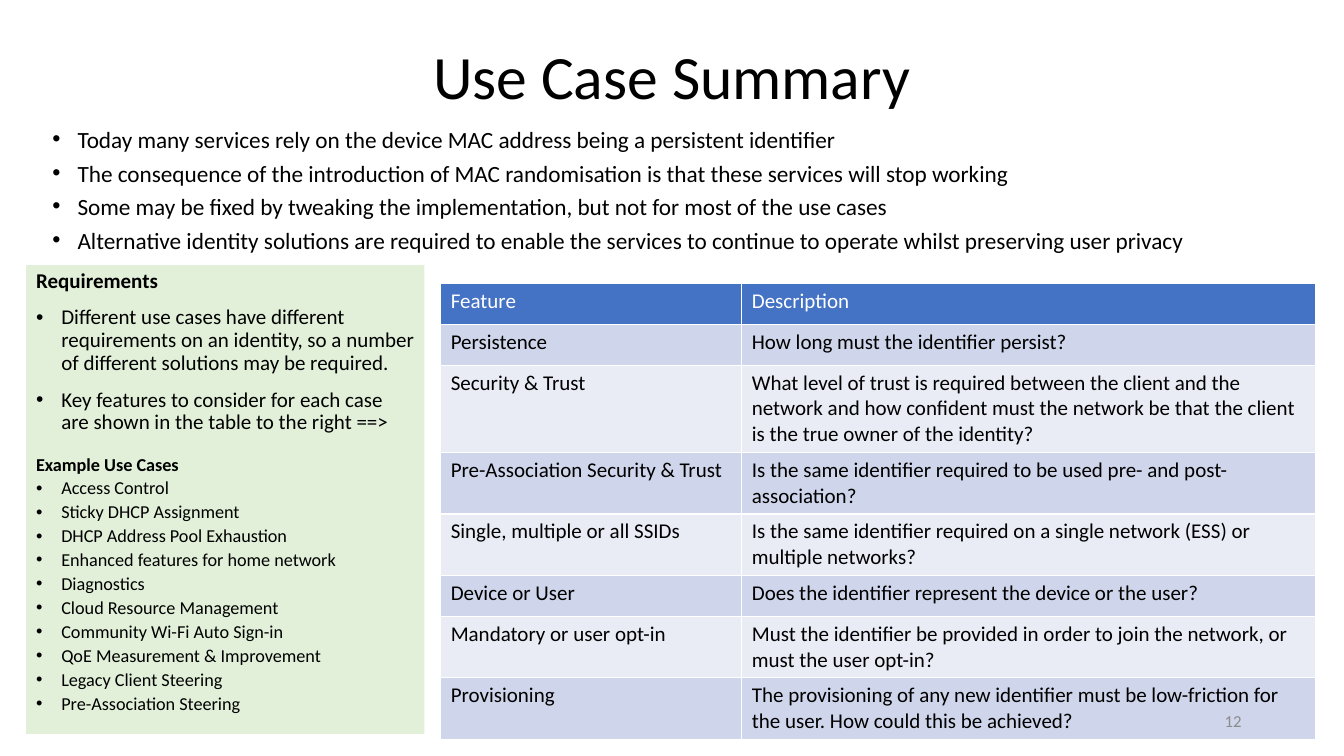
from lxml.etree import SubElement
from pptx import Presentation
from pptx.dml.color import RGBColor
from pptx.enum.shapes import MSO_SHAPE
from pptx.enum.text import MSO_ANCHOR, MSO_AUTO_SIZE, PP_ALIGN
from pptx.oxml.ns import qn
from pptx.util import Pt

# Content
TITLE = "Use Case Summary"
PAGE_NUMBER = "12"
SUMMARY = [
    "Today many services rely on the device MAC address being a persistent identifier",
    "The consequence of the introduction of MAC randomisation is that these services will stop working",
    "Some may be fixed by tweaking the implementation, but not for most of the use cases",
    "Alternative identity solutions are required to enable the services to continue to operate "
    "whilst preserving user privacy",
]
REQUIREMENTS = [
    "Different use cases have different requirements on an identity, so a number of different "
    "solutions may be required.",
    "Key features to consider for each case are shown in the table to the right ==>",
]
USE_CASES = [
    "Access Control",
    "Sticky DHCP Assignment",
    "DHCP Address Pool Exhaustion",
    "Enhanced features for home network",
    "Diagnostics",
    "Cloud Resource Management",
    "Community Wi-Fi Auto Sign-in",
    "QoE Measurement & Improvement",
    "Legacy Client Steering",
    "Pre-Association Steering",
]
FEATURES = [
    ("Feature", "Description"),
    ("Persistence", "How long must the identifier persist?"),
    ("Security & Trust",
     "What level of trust is required between the client and the network and how confident must "
     "the network be that the client is the true owner of the identity?"),
    ("Pre-Association Security & Trust",
     "Is the same identifier required to be used pre- and post-association?"),
    ("Single, multiple or all SSIDs",
     "Is the same identifier required on a single network (ESS) or multiple networks?"),
    ("Device or User", "Does the identifier represent the device or the user?"),
    ("Mandatory or user opt-in",
     "Must the identifier be provided in order to join the network, or must the user opt-in?"),
    ("Provisioning",
     "The provisioning of any new identifier must be low-friction for the user. "
     "How could this be achieved?"),
]

# Look: boxes are left, top, width, height in points
TITLE_BOX = (66, 28.8, 828, 56.2)
SUMMARY_BOX = (30.2, 91.4, 918.7, 97.9)
PANEL_BOX = (18.7, 189.4, 284.4, 334.8)
NUMBER_BOX = (678, 500.4, 216, 28.8)
TABLE_CORNER = (314.8, 202.4)
COLUMN_WIDTHS = (215.1, 410.2)
ROW_HEIGHT = 29.2
INDENT = 18
BLACK, WHITE, GREY, GREEN = "000000", "FFFFFF", "8C8C8C", "E2F0D9"
HEADER_FILL, BAND_FILLS = "4472C4", ("E9EBF5", "CFD5EA")


def colour(value):
    return RGBColor.from_string(value)


def place(box, bounds):
    for name, value in zip(("left", "top", "width", "height"), bounds):
        setattr(box, name, Pt(value))


def write(para, text, size, hue=BLACK, bold=False, bullet=False, **layout):
    span = para.add_run()
    span.text = text
    for name, value in {"name": "Calibri", "size": Pt(size), "bold": bold}.items():
        setattr(span.font, name, value)
    span.font.color.rgb = colour(hue)
    for name, value in layout.items():
        setattr(para, name, value)
    if bullet:
        properties = para._p.get_or_add_pPr()
        properties.set("marL", str(Pt(INDENT)))
        properties.set("indent", str(-Pt(INDENT)))
        SubElement(properties, qn("a:buFont"), typeface="Arial")
        SubElement(properties, qn("a:buChar"), char="•")


def write_lines(frame, lines):
    for index, (text, layout) in enumerate(lines):
        para = frame.add_paragraph() if index else frame.paragraphs[0]
        write(para, text, **layout)


deck = Presentation()
deck.slide_width, deck.slide_height = Pt(960), Pt(540)
page = deck.slides.add_slide(deck.slide_layouts[1])

# Title and summary bullets
title, summary = page.placeholders
for box, bounds in ((title, TITLE_BOX), (summary, SUMMARY_BOX)):
    place(box, bounds)
    box.text_frame.auto_size = MSO_AUTO_SIZE.NONE
write(title.text_frame.paragraphs[0], TITLE, 44, alignment=PP_ALIGN.CENTER, line_spacing=0.9)
summary_format = {"size": 16.6, "bullet": True, "line_spacing": 0.7, "space_before": Pt(10)}
write_lines(summary.text_frame, [(text, summary_format) for text in SUMMARY])

# Green panel
panel = page.shapes.add_shape(MSO_SHAPE.RECTANGLE, *map(Pt, PANEL_BOX))
panel.shadow.inherit = False
panel.fill.solid()
panel.fill.fore_color.rgb = colour(GREEN)
panel.line.fill.background()
panel.text_frame.word_wrap = True
panel.text_frame.vertical_anchor = MSO_ANCHOR.TOP
panel_lines = []
for heading, items, size, heading_gap, item_gap in (
    ("Requirements", REQUIREMENTS, 15, 10, 10),
    ("Example Use Cases", USE_CASES, 13, 15, 3),
):
    common = {"size": size, "alignment": PP_ALIGN.LEFT, "line_spacing": 0.9}
    panel_lines.append((heading, {**common, "bold": True, "space_before": Pt(heading_gap)}))
    panel_lines += [(item, {**common, "bullet": True, "space_before": Pt(item_gap)}) for item in items]
write_lines(panel.text_frame, panel_lines)

# Feature table
table = page.shapes.add_table(
    len(FEATURES), len(COLUMN_WIDTHS), *map(Pt, TABLE_CORNER),
    Pt(sum(COLUMN_WIDTHS)), Pt(ROW_HEIGHT * len(FEATURES)),
).table
for column, width in zip(table.columns, COLUMN_WIDTHS):
    column.width = Pt(width)
for index, texts in enumerate(FEATURES):
    table.rows[index].height = Pt(ROW_HEIGHT)
    for cell, text in zip(table.rows[index].cells, texts):
        cell.fill.solid()
        cell.fill.fore_color.rgb = colour(BAND_FILLS[index % 2] if index else HEADER_FILL)
        write(cell.text_frame.paragraphs[0], text, 15, BLACK if index else WHITE)

# Page number
number = page.shapes.add_textbox(*map(Pt, NUMBER_BOX))
number.text_frame.word_wrap = True
number.text_frame.vertical_anchor = MSO_ANCHOR.MIDDLE
write(number.text_frame.paragraphs[0], PAGE_NUMBER, 12, GREY, alignment=PP_ALIGN.RIGHT)

deck.save("out.pptx")
